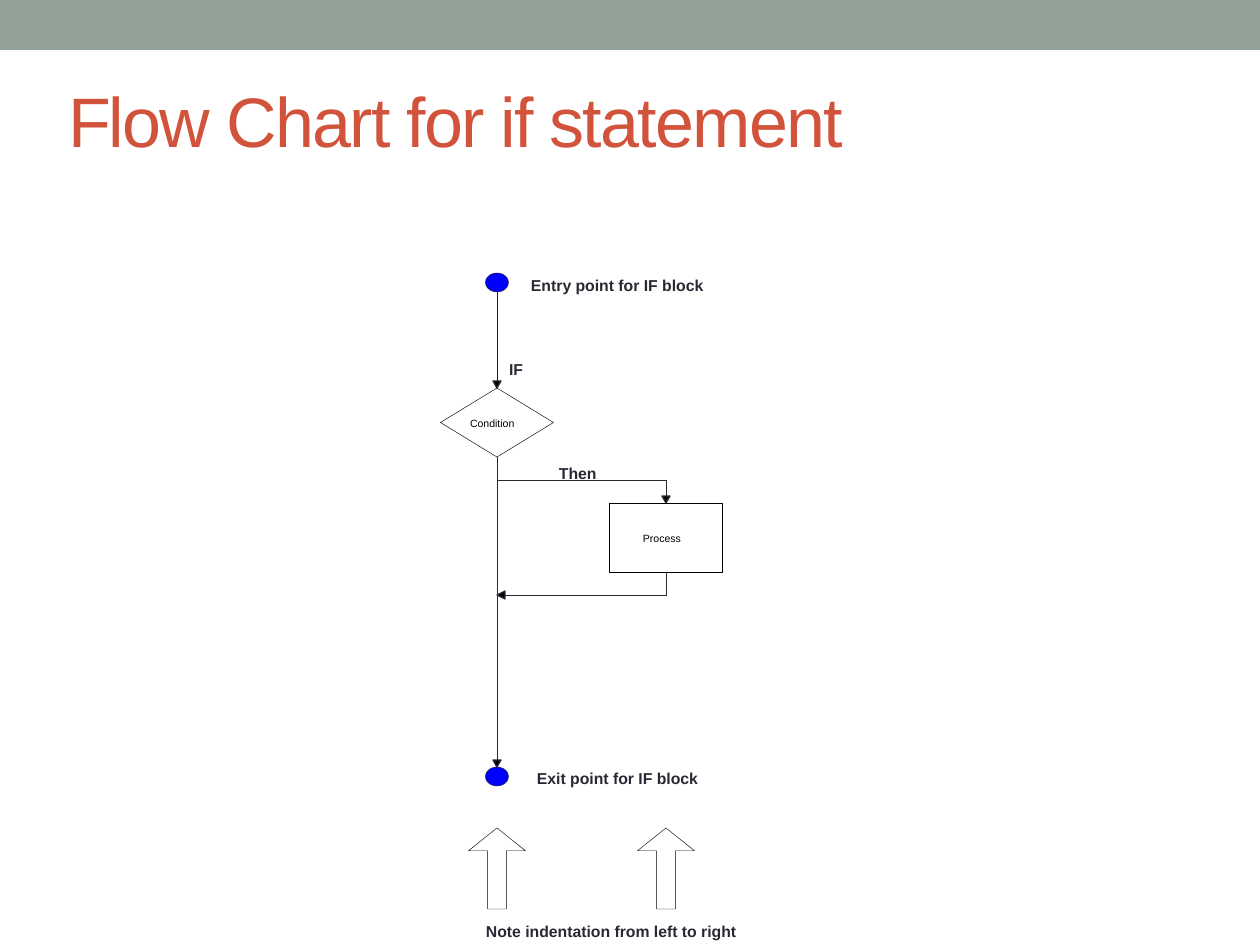
import pptx
import pptx.util
import pptx.dml.color
import pptx.enum.shapes
import pptx.enum.text

KIND = pptx.enum.shapes.MSO_SHAPE
SCALE = 914400 / 126
HUES = {"band": "93A299", "title": "D2533C", "ink": "292934",
        "black": "000000", "white": "FFFFFF", "blue": "0000FF"}
MAIN, SIDE = 497, 666

SHAPES = [
    (KIND.DIAMOND, MAIN, 388, 113, 69, "white", "black"),
    (KIND.RECTANGLE, SIDE, 503, 113, 69, "white", "black"),
    (KIND.OVAL, MAIN, 273, 23, 19, "blue", "ink"),
    (KIND.OVAL, MAIN, 767, 23, 19, "blue", "ink"),
    (KIND.UP_ARROW, MAIN, 828, 57, 81, "white", "black"),
    (KIND.UP_ARROW, SIDE, 828, 57, 81, "white", "black"),
]
LINES = [(292, 382, "blue"), (457, 761, "ink")]
ELBOWS = [
    [(MAIN, 480), (SIDE, 480), (SIDE, 496)],
    [(SIDE, 572), (SIDE, 595), (504, 595)],
]
HEADS = [(MAIN, 388, "down"), (MAIN, 767, "down"),
         (SIDE, 503, "down"), (MAIN, 595, "left")]
WINGS = {"down": [(-4, -7), (4, -7)], "left": [(8, -4), (8, 4)]}
LABELS = [
    ("Condition", 470, 417, 45, 12, 6, False, "black"),
    ("Process", 643, 532, 38, 12, 6, False, "black"),
    ("IF", 509, 360, 14, 19, 9, True, "ink"),
    ("Then", 559, 464, 38, 19, 9, True, "ink"),
    ("Entry point for IF block", 531, 276, 173, 19, 9, True, "ink"),
    ("Exit point for IF block", 537, 769, 161, 19, 9, True, "ink"),
    ("Note indentation from left to right", 486, 922, 251, 19, 9, True, "ink"),
]


def px(num):
    return pptx.util.Emu(round(num * SCALE))


def hue(name):
    return pptx.dml.color.RGBColor.from_string(HUES[name])


def paint(shape, fill, line, width=0.25):
    shape.shadow.inherit = False
    if fill:
        shape.fill.solid()
        shape.fill.fore_color.rgb = hue(fill)
    else:
        shape.fill.background()
    if line:
        shape.line.color.rgb = hue(line)
        shape.line.width = pptx.util.Pt(width)
    else:
        shape.line.fill.background()


def trace(pts, close, fill, width):
    pen = slide.shapes.build_freeform(*pts[0], scale=SCALE)
    pen.add_line_segments(pts[1:], close=close)
    paint(pen.convert_to_shape(), fill, "ink", width)


def write(text, box, size, bold, color):
    frame = slide.shapes.add_textbox(*map(px, box)).text_frame
    frame.margin_left = frame.margin_right = 0
    frame.margin_top = frame.margin_bottom = 0
    run = frame.paragraphs[0].add_run()
    run.text = text
    run.font.name = "Arial"
    run.font.size = pptx.util.Pt(size)
    run.font.bold = bold
    run.font.color.rgb = hue(color)
    return frame, run


deck = pptx.Presentation()
deck.slide_width, deck.slide_height = px(1260), px(945)
slide = deck.slides.add_slide(deck.slide_layouts[6])

band = slide.shapes.add_shape(KIND.RECTANGLE, 0, 0, px(1260), px(50))
paint(band, "band", None)

frame, run = write("Flow Chart for if statement", (-71, 21, 1113, 198), 40, False, "title")
frame.word_wrap = True
frame.margin_left = px(139)
frame.vertical_anchor = pptx.enum.text.MSO_ANCHOR.MIDDLE
run.font._element.set("spc", "-100")

for kind, mid, top, wide, high, fill, line in SHAPES:
    shape = slide.shapes.add_shape(kind, px(mid - wide / 2), px(top), px(wide), px(high))
    paint(shape, fill, line)
    if kind == KIND.UP_ARROW:
        shape.adjustments[0] = 0.33
        shape.adjustments[1] = 0.4

for top, end, color in LINES:
    line = slide.shapes.add_connector(
        pptx.enum.shapes.MSO_CONNECTOR.STRAIGHT, px(MAIN), px(top), px(MAIN), px(end))
    line.line.color.rgb = hue(color)
    line.line.width = pptx.util.Pt(0.25)
    line._element.spPr.append(pptx.oxml.parse_xml(
        '<a:effectLst xmlns:a="http://schemas.openxmlformats.org/drawingml/2006/main"/>'))

for pts in ELBOWS:
    trace(pts, False, None, 0.25)

for x, y, way in HEADS:
    trace([(x, y)] + [(x + dx, y + dy) for dx, dy in WINGS[way]], True, "black", 0.75)

for text, x, y, wide, high, size, bold, color in LABELS:
    frame, run = write(text, (x, y, wide, high), size, bold, color)
    frame.word_wrap = False
    frame.auto_size = pptx.enum.text.MSO_AUTO_SIZE.SHAPE_TO_FIT_TEXT

deck.save("out.pptx")
